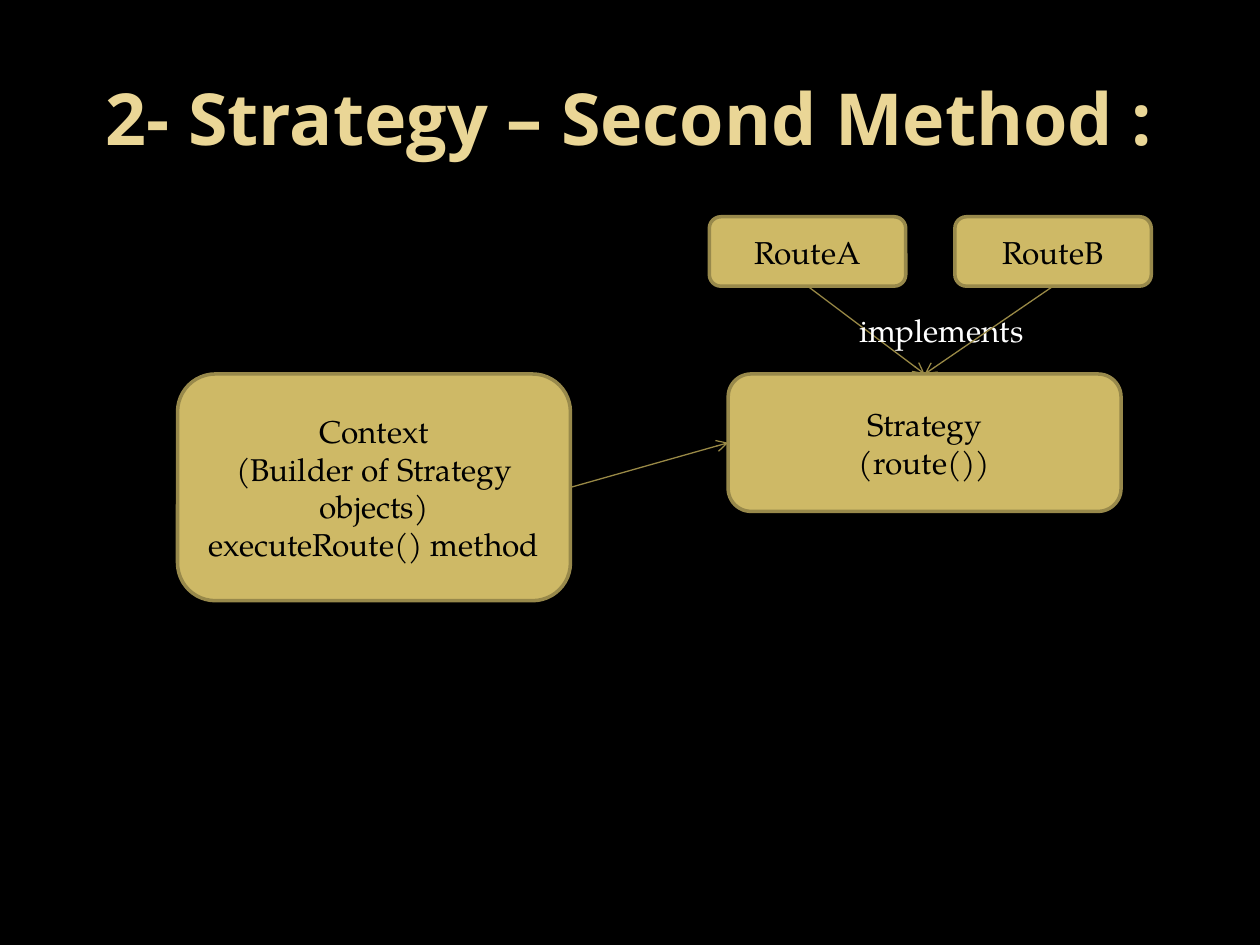
from dataclasses import dataclass

from lxml import etree
from pptx import Presentation
from pptx import util as u
from pptx.dml.color import RGBColor
from pptx.enum import shapes, text
from pptx.oxml.ns import qn

COLORS = {
    "background": "000000",
    "title": "EAD696",
    "box": "CEB966",
    "border": "98894B",
    "arrow": "998946",
    "box_text": "000000",
    "label": "FFFFFF",
}
BODY_FONT = "TeX Gyre Pagella"
TITLE_FONT = "Open Sans"
TOP, LEFT, BOTTOM, RIGHT = range(4)  # connection sites of a rounded rectangle


@dataclass
class Node:
    lines: list[str]
    left: float
    top: float
    width: float
    height: float


ROUTE_SIZE = (3.96, 1.4)
CLASS_WIDTH = 7.92
ROUTE_TOP, CLASS_TOP = 4.37, 7.54

NODES = {
    "strategy": Node(["Strategy", "(route())"], 14.68, CLASS_TOP, CLASS_WIDTH, 2.77),
    "route_a": Node(["RouteA"], 14.3, ROUTE_TOP, *ROUTE_SIZE),
    "route_b": Node(["RouteB"], 19.25, ROUTE_TOP, *ROUTE_SIZE),
    "context": Node(
        ["Context", "(Builder of Strategy objects)", "executeRoute() method"],
        3.58, CLASS_TOP, CLASS_WIDTH, 4.57,
    ),
}


def color(name: str) -> RGBColor:
    return RGBColor.from_string(COLORS[name])


def write_lines(shape, lines: list[str], *, ink: str, font: str = BODY_FONT,
                size: float = 18, bold: bool = False,
                align=text.PP_ALIGN.CENTER,
                anchor=text.MSO_ANCHOR.MIDDLE) -> None:
    frame = shape.text_frame
    frame.word_wrap = True
    frame.vertical_anchor = anchor
    for index, line in enumerate(lines):
        para = frame.add_paragraph() if index else frame.paragraphs[0]
        para.alignment = align
        span = para.add_run()
        span.text = line
        span.font.name = font
        span.font.size = u.Pt(size)
        span.font.bold = bold
        span.font.color.rgb = color(ink)


def add_text(page, line: str, left: float, top: float, width: float,
             height: float, **style) -> None:
    box = page.shapes.add_textbox(u.Cm(left), u.Cm(top), u.Cm(width), u.Cm(height))
    write_lines(box, [line], **style)


def add_node(page, node: Node):
    box = page.shapes.add_shape(
        shapes.MSO_SHAPE.ROUNDED_RECTANGLE,
        u.Cm(node.left), u.Cm(node.top), u.Cm(node.width), u.Cm(node.height),
    )
    box.shadow.inherit = False
    box.fill.solid()
    box.fill.fore_color.rgb = color("box")
    box.line.color.rgb = color("border")
    box.line.width = u.Pt(2)
    write_lines(box, node.lines, ink="box_text")
    return box


def add_arrow(page, source, source_site: int, target, target_site: int) -> None:
    arrow = page.shapes.add_connector(shapes.MSO_CONNECTOR.STRAIGHT, 0, 0, 0, 0)
    arrow.begin_connect(source, source_site)
    arrow.end_connect(target, target_site)
    arrow.line.color.rgb = color("arrow")
    arrow.line.width = u.Pt(0.75)
    properties = arrow._element.spPr
    etree.SubElement(properties.find(qn("a:ln")), qn("a:tailEnd"), type="arrow")
    etree.SubElement(properties, qn("a:effectLst"))


def main() -> None:
    deck = Presentation()
    deck.slide_width, deck.slide_height = u.Cm(25.4), u.Cm(19.05)
    page = deck.slides.add_slide(deck.slide_layouts[6])
    page.background.fill.solid()
    page.background.fill.fore_color.rgb = color("background")

    add_text(page, "2- Strategy – Second Method :", 1.27, 0.76, 22.86, 3.18,
             ink="title", font=TITLE_FONT, size=41, bold=True)
    boxes = {name: add_node(page, node) for name, node in NODES.items()}
    add_arrow(page, boxes["route_a"], BOTTOM, boxes["strategy"], TOP)
    add_text(page, "implements", 17.07, 6.15, 4.17, 1.02, ink="label",
             align=text.PP_ALIGN.LEFT, anchor=text.MSO_ANCHOR.TOP)
    add_arrow(page, boxes["route_b"], BOTTOM, boxes["strategy"], TOP)
    add_arrow(page, boxes["context"], RIGHT, boxes["strategy"], LEFT)

    deck.save("out.pptx")


if __name__ == "__main__":
    main()
